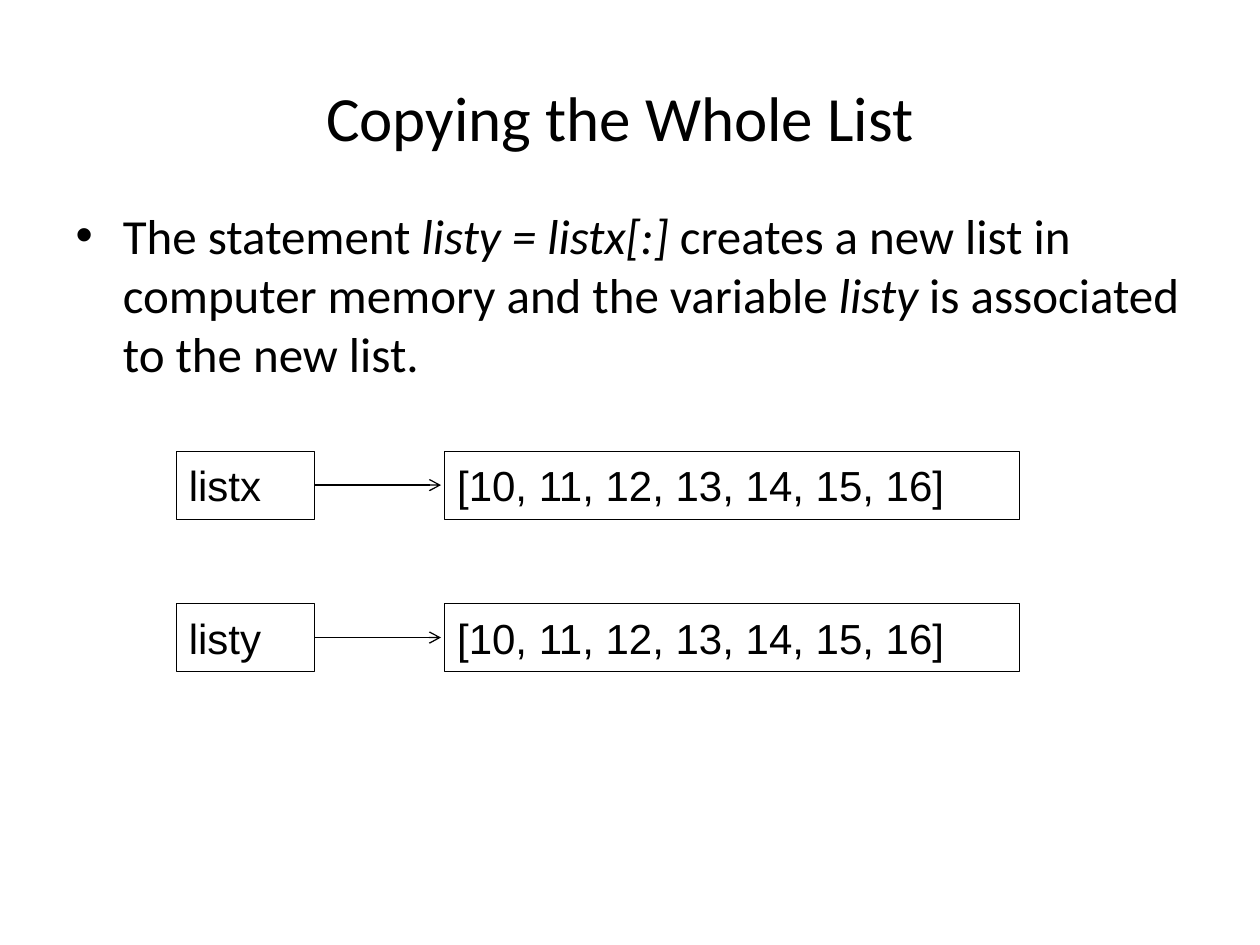
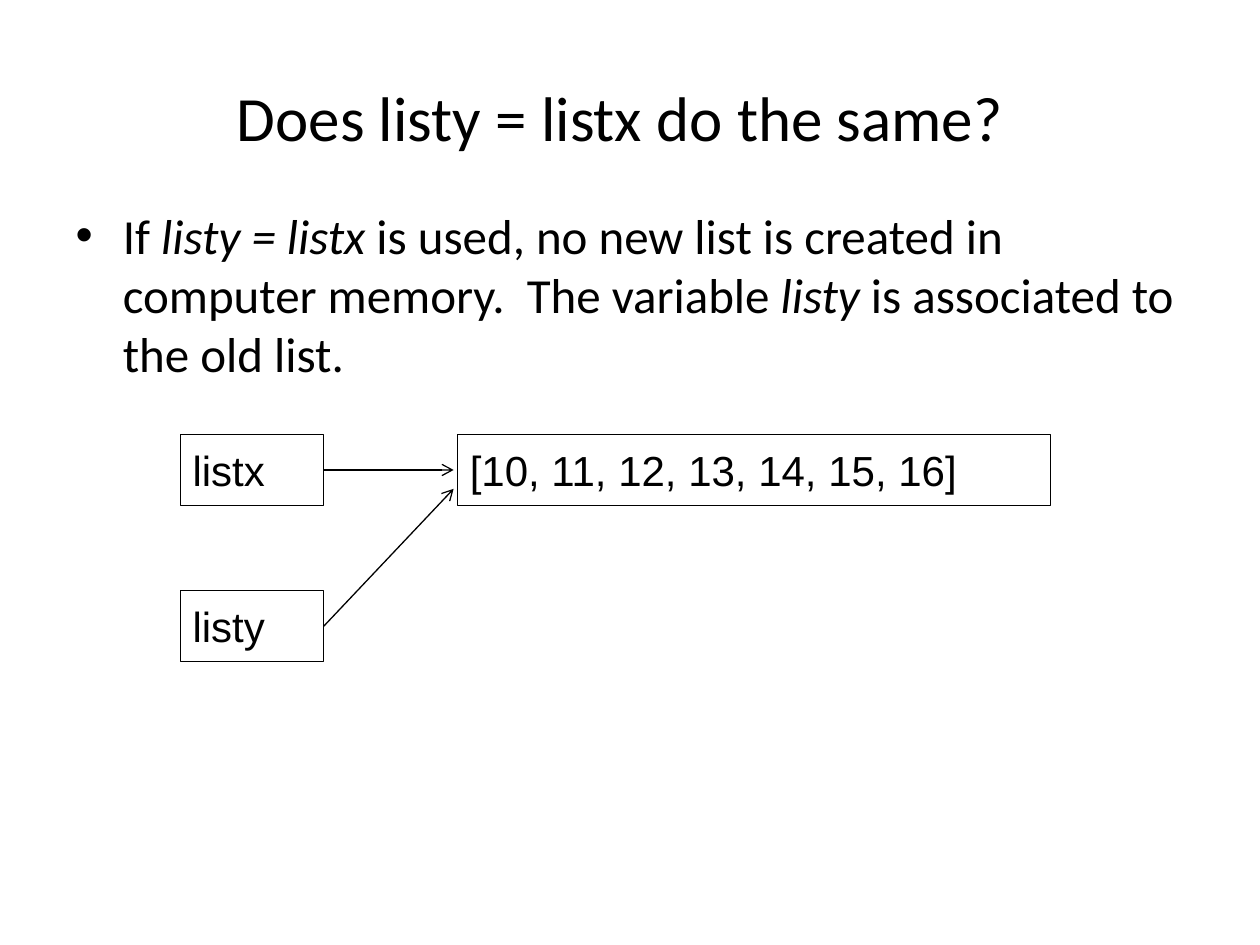
from dataclasses import dataclass

from pptx import Presentation
from pptx.dml.color import RGBColor
from pptx.enum.shapes import MSO_CONNECTOR, MSO_SHAPE
from pptx.enum.text import MSO_ANCHOR, MSO_AUTO_SIZE, PP_ALIGN
from pptx.oxml.ns import qn
from pptx.shapes.autoshape import Shape
from pptx.slide import Slide
from pptx.util import Inches, Pt
from lxml.etree import SubElement

BLACK = RGBColor(0x00, 0x00, 0x00)
WHITE = RGBColor(0xFF, 0xFF, 0xFF)
TEXT_FONT = "Calibri"
BOX_FONT = "Arial"
VALUES = "[10, 11, 12, 13, 14, 15, 16]"
ARROW_GAP = 0.03
RIGHT_SIDE = 3


@dataclass(frozen=True)
class Box:
    text: str
    left: float
    top: float
    width: float
    height: float


@dataclass(frozen=True)
class Arrow:
    start: int
    target: int
    end_y: float


@dataclass(frozen=True)
class Page:
    title: str
    body: list[tuple[str, bool]]
    boxes: list[Box]
    arrows: list[Arrow]


def add_run(p, text: str, font: str, size: int, italic: bool = False) -> None:
    r = p.add_run()
    r.text = text
    r.font.name = font
    r.font.size = Pt(size)
    r.font.italic = italic
    r.font.color.rgb = BLACK


def place(sp: Shape, left: float, top: float, width: float, height: float) -> None:
    sp.left, sp.top = Inches(left), Inches(top)
    sp.width, sp.height = Inches(width), Inches(height)
    sp.text_frame.auto_size = MSO_AUTO_SIZE.NONE
    sp.text_frame.word_wrap = True


def fill_placeholders(s: Slide, page: Page) -> None:
    title, body = s.placeholders
    place(title, 0.17, 0.3, 9.5, 1.25)
    title.text_frame.vertical_anchor = MSO_ANCHOR.MIDDLE
    p = title.text_frame.paragraphs[0]
    p.alignment = PP_ALIGN.CENTER
    add_run(p, page.title, TEXT_FONT, 36)

    place(body, 0.5, 1.58, 9, 1.75)
    for text, italic in page.body:
        add_run(body.text_frame.paragraphs[0], text, TEXT_FONT, 28, italic)


def add_box(s: Slide, box: Box) -> Shape:
    sp = s.shapes.add_shape(MSO_SHAPE.RECTANGLE, Inches(box.left), Inches(box.top),
                            Inches(box.width), Inches(box.height))
    sp.shadow.inherit = False
    sp.fill.solid()
    sp.fill.fore_color.rgb = WHITE
    sp.line.color.rgb = BLACK
    sp.line.width = Pt(0.5)
    tf = sp.text_frame
    tf.vertical_anchor = MSO_ANCHOR.MIDDLE
    p = tf.paragraphs[0]
    p.alignment = PP_ALIGN.LEFT
    add_run(p, box.text, BOX_FONT, 24)
    return sp


def add_arrow(s: Slide, start: Shape, target: Shape, end_y: float) -> None:
    line = s.shapes.add_connector(
        MSO_CONNECTOR.STRAIGHT, start.left + start.width, start.top + start.height // 2,
        target.left - Inches(ARROW_GAP), Inches(end_y))
    line.begin_connect(start, RIGHT_SIDE)
    line.line.color.rgb = BLACK
    line.line.width = Pt(0.75)
    SubElement(line.line._get_or_add_ln(), qn("a:tailEnd"), type="arrow")
    SubElement(line._element.spPr, qn("a:effectLst"))


def name_box(name: str, top: float, left: float, width: float, height: float) -> Box:
    return Box(name, left, top, width, height)


PAGES = [
    Page(
        "Copying the Whole List",
        [("The statement ", False), ("listy = listx[:]", True),
         (" creates a new list in computer memory and the variable ", False),
         ("listy", True), (" is associated to the new list.", False)],
        [box for name, top in (("listx", 3.58), ("listy", 4.79))
         for box in (Box(name, 1.4, top, 1.1, 0.54), Box(VALUES, 3.53, top, 4.56, 0.54))],
        [Arrow(0, 1, 3.85), Arrow(2, 3, 5.06)],
    ),
    Page(
        "Does listy = listx do the same?",
        [("If ", False), ("listy = listx", True),
         (" is used, no new list is created in computer memory.  The variable ", False),
         ("listy", True), (" is associated to the old list.", False)],
        [Box("listx", 1.43, 3.45, 1.14, 0.56), Box(VALUES, 3.63, 3.45, 4.71, 0.56),
         Box("listy", 1.43, 4.69, 1.14, 0.56)],
        [Arrow(0, 1, 3.73), Arrow(2, 1, 3.88)],
    ),
]


def main() -> None:
    prs = Presentation()
    prs.slide_width, prs.slide_height = Inches(10), Inches(7.5)
    for page in PAGES:
        s = prs.slides.add_slide(prs.slide_layouts[1])
        fill_placeholders(s, page)
        boxes = [add_box(s, box) for box in page.boxes]
        for arrow in page.arrows:
            add_arrow(s, boxes[arrow.start], boxes[arrow.target], arrow.end_y)
    prs.save("out.pptx")


if __name__ == "__main__":
    main()
